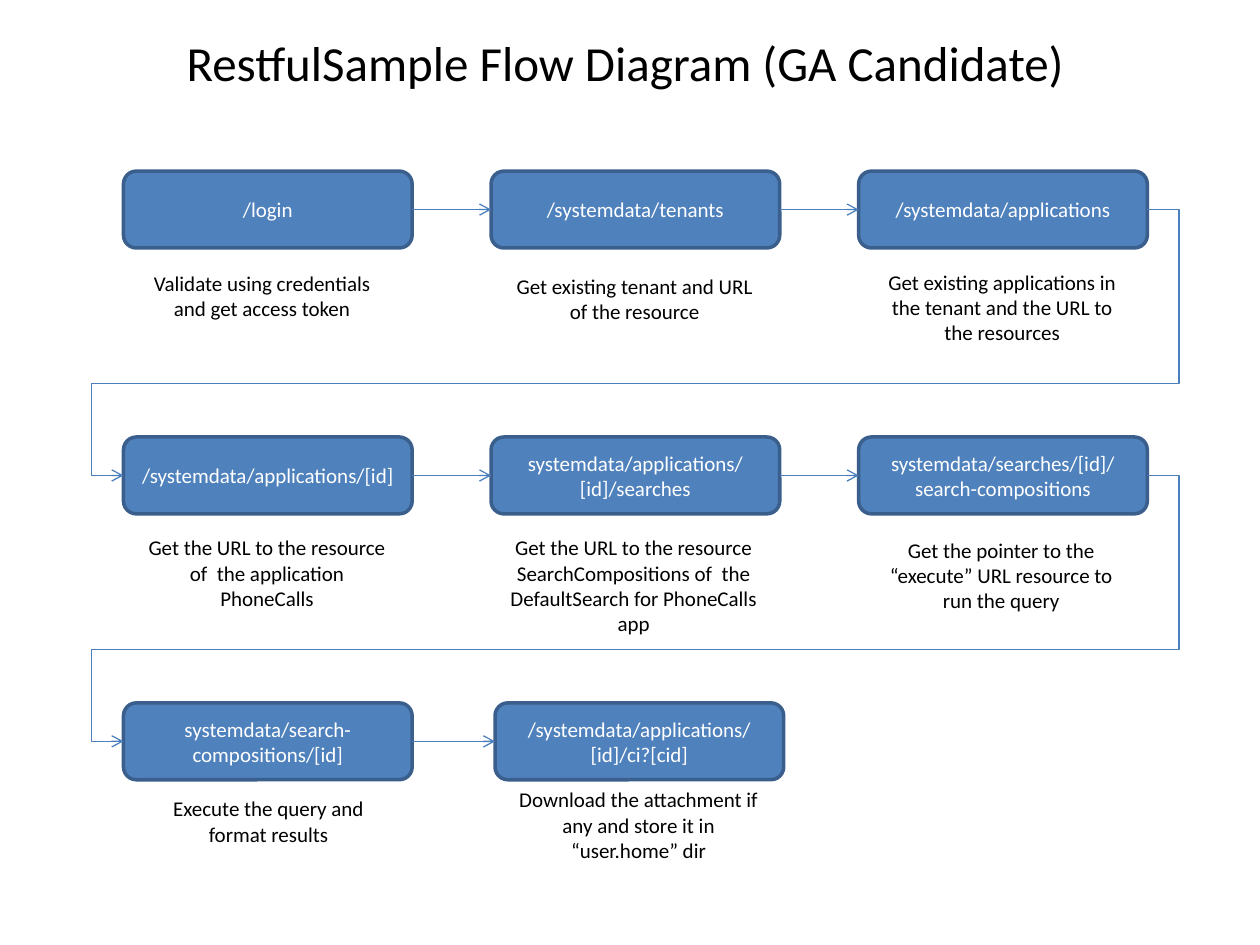
from dataclasses import dataclass
from itertools import pairwise

from lxml.etree import SubElement
from pptx import Presentation
from pptx.dml.color import RGBColor
from pptx.enum.shapes import MSO_CONNECTOR as Connector, MSO_SHAPE as Shape
from pptx.enum.text import MSO_ANCHOR as Anchor, PP_ALIGN as Align
from pptx.oxml.ns import qn
from pptx.shapes.autoshape import Shape as Box
from pptx.slide import Slide
from pptx.util import Cm, Pt


@dataclass(frozen=True)
class Theme:
    font: str = "Calibri"
    fill: RGBColor = RGBColor(0x4F, 0x81, 0xBD)
    border: RGBColor = RGBColor(0x3A, 0x5F, 0x8C)
    arrow: RGBColor = RGBColor(0x4B, 0x7E, 0xBC)
    light: RGBColor = RGBColor(0xFF, 0xFF, 0xFF)
    dark: RGBColor = RGBColor(0, 0, 0)
    title_size: float = 28
    body_size: float = 12
    border_width: float = 2
    arrow_width: float = 0.75


@dataclass(frozen=True)
class Step:
    endpoint: str
    caption: str
    caption_lines: int
    caption_dx: float
    caption_dy: float
    shift: float = 0


THEME = Theme()
COLUMNS = 3
LEFT, TOP = 2.49, 3.45
COLUMN_PITCH, ROW_PITCH = 7.41, 5.36
BOX_WIDTH, BOX_HEIGHT = 5.82, 1.55
CAPTION_WIDTH, CAPTION_PADDING, LINE_HEIGHT = 5.59, 0.25, 0.52
LEFT_SITE, RIGHT_SITE = 1, 3
WRAP_BENDS = (-3100, 65500, 103100)

STEPS = (
    Step("/login", "Validate using credentials and get access token", 2, 0, 1.88),
    Step("/systemdata/tenants", "Get existing tenant and URL of the resource", 2, 0.1, 1.93),
    Step("/systemdata/applications",
         "Get existing applications in the tenant and the URL to the resources", 3, 0.1, 1.85),
    Step("/systemdata/applications/[id]",
         "Get the URL to the resource of  the application PhoneCalls", 2, 0.1, 1.85),
    Step("systemdata/applications/[id]/searches",
         "Get the URL to the resource SearchCompositions of  the "
         "DefaultSearch for PhoneCalls app", 4, 0.08, 1.85),
    Step("systemdata/searches/[id]/ search-compositions",
         "Get the pointer to the “execute” URL resource to run the query", 3, 0.08, 1.9),
    Step("systemdata/search-compositions/[id]",
         "Execute the query and format results", 2, 0.13, 1.75),
    Step("/systemdata/applications/[id]/ci?[cid]",
         "Download the attachment if any and store it in “user.home” dir", 3, 0.1, 1.57, 0.08),
)


def write(box: Box, text: str, *, size: float, color: RGBColor,
          anchor: Anchor = Anchor.TOP) -> None:
    frame = box.text_frame
    frame.word_wrap = True
    frame.vertical_anchor = anchor
    para = frame.paragraphs[0]
    para.alignment = Align.CENTER
    span = para.add_run()
    span.text = text
    span.font.name = THEME.font
    span.font.size = Pt(size)
    span.font.color.rgb = color


def add_step(page: Slide, index: int, step: Step) -> Box:
    row, column = divmod(index, COLUMNS)
    left = LEFT + column * COLUMN_PITCH + step.shift
    top = TOP + row * ROW_PITCH
    box = page.shapes.add_shape(Shape.ROUNDED_RECTANGLE, Cm(left), Cm(top),
                                Cm(BOX_WIDTH), Cm(BOX_HEIGHT))
    box.shadow.inherit = False
    box.fill.solid()
    box.fill.fore_color.rgb = THEME.fill
    box.line.color.rgb = THEME.border
    box.line.width = Pt(THEME.border_width)
    write(box, step.endpoint, size=THEME.body_size, color=THEME.light, anchor=Anchor.MIDDLE)
    caption = page.shapes.add_textbox(
        Cm(left + step.caption_dx), Cm(top + step.caption_dy), Cm(CAPTION_WIDTH),
        Cm(CAPTION_PADDING + LINE_HEIGHT * step.caption_lines))
    write(caption, step.caption, size=THEME.body_size, color=THEME.dark)
    return box


def add_arrow(page: Slide, source: Box, target: Box) -> None:
    wraps = target.left < source.left
    kind = Connector.ELBOW if wraps else Connector.STRAIGHT
    arrow = page.shapes.add_connector(kind, 0, 0, 0, 0)
    arrow.begin_connect(source, RIGHT_SITE)
    arrow.end_connect(target, LEFT_SITE)
    arrow.line.color.rgb = THEME.arrow
    arrow.line.width = Pt(THEME.arrow_width)
    properties = arrow._element.spPr
    SubElement(properties.find(qn("a:ln")), qn("a:tailEnd"), type="arrow")
    SubElement(properties, qn("a:effectLst"))
    if wraps:
        geometry = properties.find(qn("a:prstGeom"))
        geometry.set("prst", "bentConnector5")
        guides = geometry.find(qn("a:avLst"))
        for number, bend in enumerate(WRAP_BENDS, 1):
            SubElement(guides, qn("a:gd"), name=f"adj{number}", fmla=f"val {bend}")


def build() -> None:
    deck = Presentation()
    deck.slide_width, deck.slide_height = Cm(25.4), Cm(19.05)
    page = deck.slides.add_slide(deck.slide_layouts[6])
    title = page.shapes.add_textbox(Cm(1.3), Cm(0.53), Cm(22.6), Cm(1.45))
    write(title, "RestfulSample Flow Diagram (GA Candidate)",
          size=THEME.title_size, color=THEME.dark)
    boxes = [add_step(page, index, step) for index, step in enumerate(STEPS)]
    for source, target in pairwise(boxes):
        add_arrow(page, source, target)
    deck.save("out.pptx")


build()
